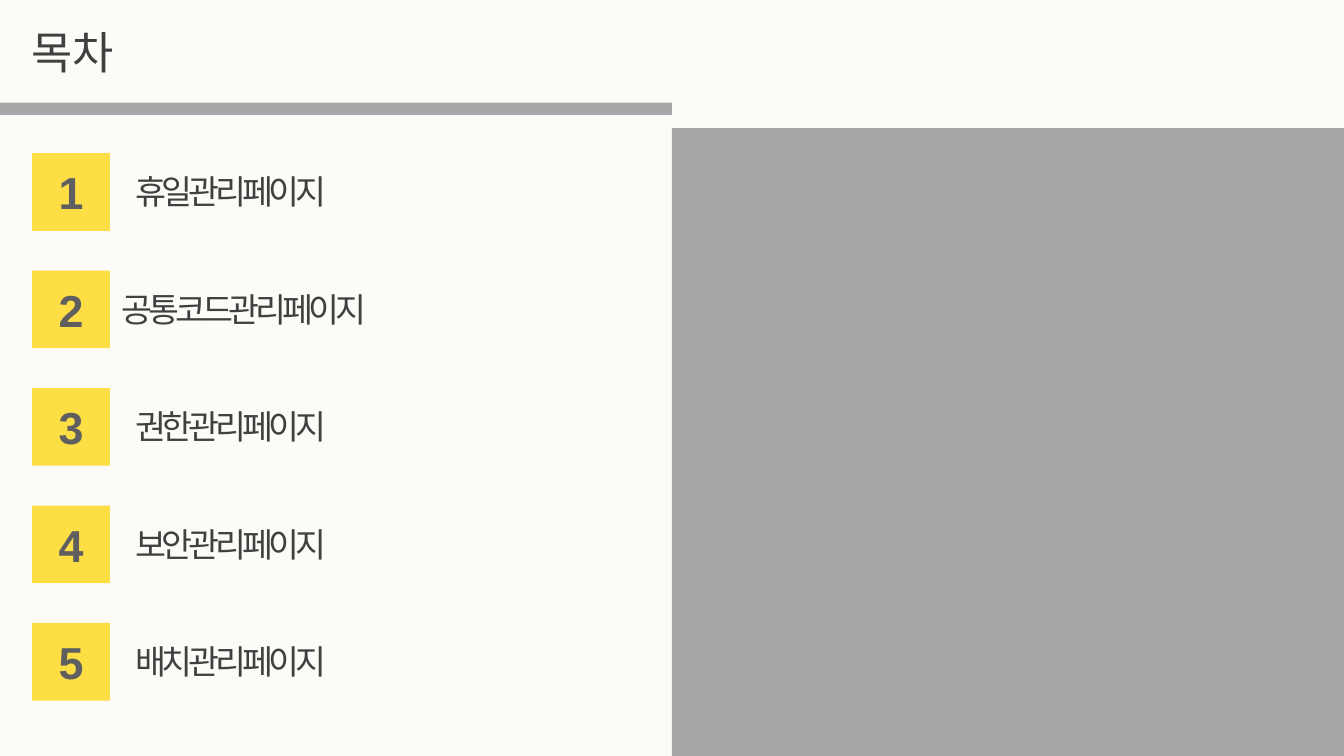
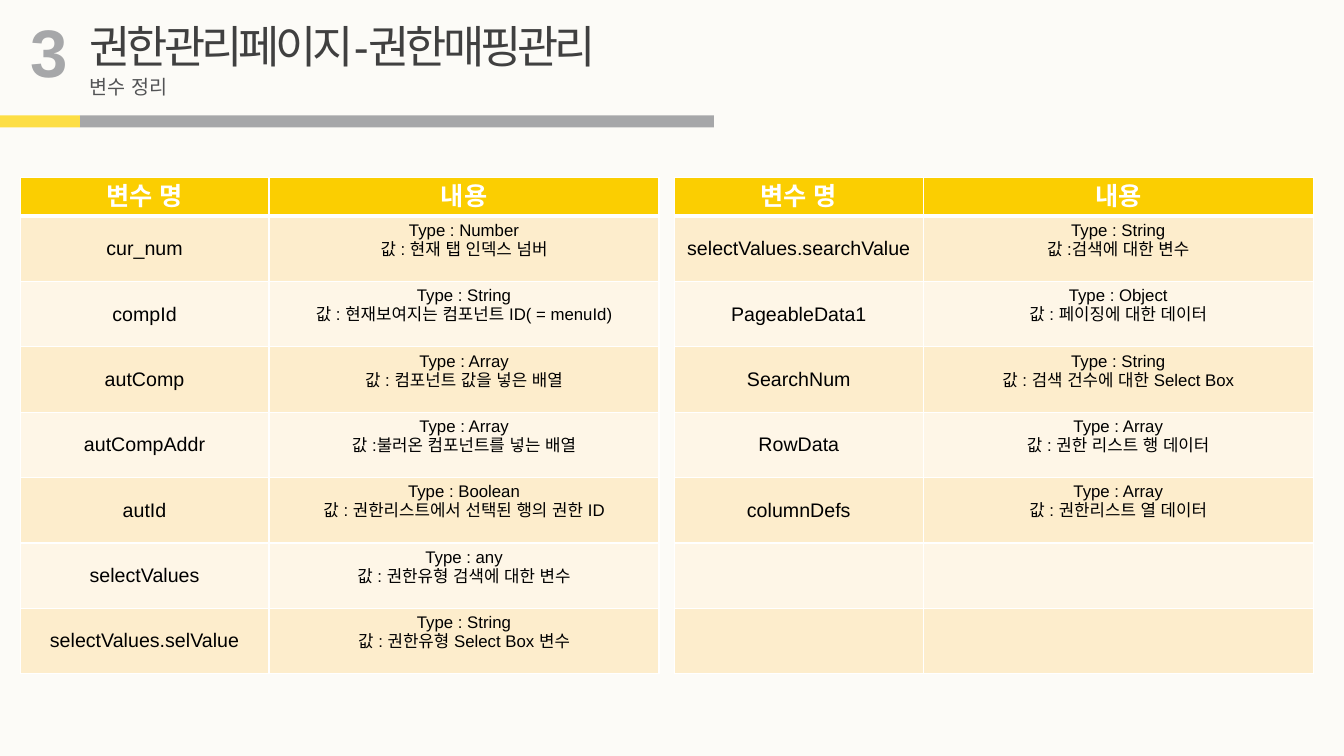
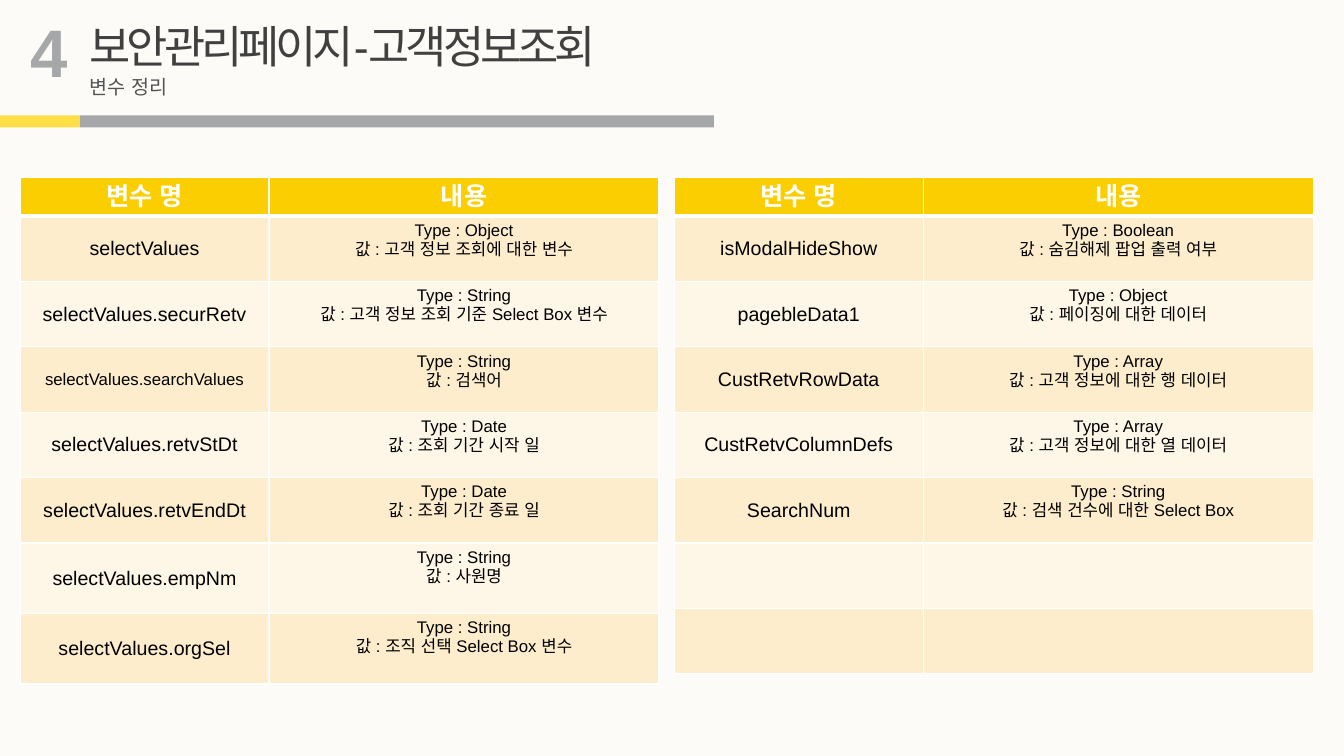
"""Builds a contents page and two pages of variable tables."""
from lxml import etree
from pptx import Presentation
from pptx.dml.color import RGBColor
from pptx.enum.shapes import MSO_SHAPE
from pptx.enum.text import MSO_ANCHOR, MSO_AUTO_SIZE, PP_ALIGN
from pptx.oxml.ns import qn
from pptx.util import Pt

RECTANGLE = MSO_SHAPE.RECTANGLE
LEFT, CENTER = PP_ALIGN.LEFT, PP_ALIGN.CENTER
TOP, MIDDLE = MSO_ANCHOR.TOP, MSO_ANCHOR.MIDDLE
NO_RESIZE = MSO_AUTO_SIZE.NONE

FONT = "Arial"
PAPER, GRAY, YELLOW, WHITE = "FCFBF7", "A6A7A9", "FDDE45", "FFFFFF"
HEADER_FILL, ROW_FILLS = "FBCE01", ("FDEDCC", "FEF6E7")
TITLE = {"size": 32, "color": "404040", "spacing": -300}
CONTENTS_TITLE = {"size": 32, "color": "404040"}
ITEM = {"size": 24, "color": "404040", "spacing": -300}
BADGE = {"size": 32, "color": "5F5F5F", "bold": True, "align": CENTER, "anchor": MIDDLE}
CHAPTER = {"size": 48, "color": GRAY, "bold": True}
SUBTITLE = {"size": 14, "color": "525355"}
HEADER = {"size": 18, "color": WHITE, "bold": True, "align": CENTER}
NAME = {"size": 14, "color": "000000", "align": CENTER, "anchor": MIDDLE}
SMALL_NAME = {**NAME, "size": 12}
DETAIL = {"size": 12, "color": "000000", "align": CENTER}

CONTENTS = ["휴일관리페이지", "공통코드관리페이지", "권한관리페이지", "보안관리페이지", "배치관리페이지"]
HEADINGS = ("변수 명", "내용")
TABLE_LEFTS = (14.4, 481.7)
TABLE_TOP = 126.7
COLUMN_WIDTHS = (177.8, 278.6)
HEADER_HEIGHT, ROW_HEIGHT, TALL_ROW_HEIGHT = 27.7, 46.7, 50.4
ROW_COUNT = 7
CHAPTERS = [
    ("3", "권한관리페이지-권한매핑관리", [
        [
            ("cur_num", "Number", "값 : 현재 탭 인덱스 넘버"),
            ("compId", "String", "값 : 현재보여지는 컴포넌트 ID( = menuId)"),
            ("autComp", "Array", "값 : 컴포넌트 값을 넣은 배열"),
            ("autCompAddr", "Array", "값 :불러온 컴포넌트를 넣는 배열"),
            ("autId", "Boolean", "값 : 권한리스트에서 선택된 행의 권한 ID"),
            ("selectValues", "any", "값 : 권한유형 검색에 대한 변수"),
            ("selectValues.selValue", "String", "값 : 권한유형 Select Box 변수"),
        ],
        [
            ("selectValues.searchValue", "String", "값 :검색에 대한 변수"),
            ("PageableData1", "Object", "값 : 페이징에 대한 데이터"),
            ("SearchNum", "String", "값 : 검색 건수에 대한 Select Box"),
            ("RowData", "Array", "값 : 권한 리스트 행 데이터"),
            ("columnDefs", "Array", "값 : 권한리스트 열 데이터"),
        ],
    ]),
    ("4", "보안관리페이지-고객정보조회", [
        [
            ("selectValues", "Object", "값 : 고객 정보 조회에 대한 변수"),
            ("selectValues.securRetv", "String", "값 : 고객 정보 조회 기준 Select Box 변수"),
            ("selectValues.searchValues", "String", "값 : 검색어"),
            ("selectValues.retvStDt", "Date", "값 : 조회 기간 시작 일"),
            ("selectValues.retvEndDt", "Date", "값 : 조회 기간 종료 일"),
            ("selectValues.empNm", "String", "값 : 사원명"),
            ("selectValues.orgSel", "String", "값 : 조직 선택 Select Box 변수"),
        ],
        [
            ("isModalHideShow", "Boolean", "값 : 숨김해제 팝업 출력 여부"),
            ("pagebleData1", "Object", "값 : 페이징에 대한 데이터"),
            ("CustRetvRowData", "Array", "값 : 고객 정보에 대한 행 데이터"),
            ("CustRetvColumnDefs", "Array", "값 : 고객 정보에 대한 열 데이터"),
            ("SearchNum", "String", "값 : 검색 건수에 대한 Select Box"),
        ],
    ]),
]
TALL_ROWS = {"selectValues.empNm", "selectValues.orgSel"}


def color(code):
    return RGBColor.from_string(code)


def write(frame, lines, style):
    for number, line in enumerate(lines):
        para = frame.add_paragraph() if number else frame.paragraphs[0]
        para.alignment = style.get("align", LEFT)
        span = para.add_run()
        span.text = line
        values = {"name": FONT, "size": Pt(style["size"]), "bold": style.get("bold", False)}
        for key, value in values.items():
            setattr(span.font, key, value)
        span.font.color.rgb = color(style["color"])
        properties = span.font._element
        etree.SubElement(properties, qn("a:ea"), typeface=FONT)
        if "spacing" in style:
            properties.set("spc", str(style["spacing"]))


deck = Presentation()
deck.slide_width, deck.slide_height = Pt(960), Pt(540)
background = deck.slide_master.background.fill
background.solid()
background.fore_color.rgb = color(PAPER)
title_only = deck.slide_layouts[5]

badges = []
items = []
for index, item in enumerate(CONTENTS):
    top = 109.4 + 83.9 * index
    badges.append((23, top, 55.5, 55.5, YELLOW, str(index + 1)))
    left = 80 if index == 1 else 89.5
    items.append((left, top + 9.4, 220, 36, item, ITEM))

pages = [{
    "title": (15, 13.7, 200, 46, "목차", CONTENTS_TITLE),
    "blocks": [(480, 91.5, 480, 448.5, GRAY, ""), (0, 73.4, 480, 8.7, GRAY, "")] + badges,
    "labels": items,
    "tables": [],
}]
for chapter, heading, tables in CHAPTERS:
    pages.append({
        "title": (57, 9.4, 430, 46, heading, TITLE),
        "blocks": [(57, 82.5, 453, 8.6, GRAY, ""), (0, 82.5, 57, 8.6, YELLOW, "")],
        "labels": [(14.4, 3.6, 44, 65.5, chapter, CHAPTER),
                   (57, 49.7, 80, 24.5, "변수 정리", SUBTITLE)],
        "tables": tables,
    })

for content in pages:
    page = deck.slides.add_slide(title_only)

    for left, top, width, height, fill, text in content["blocks"]:
        block = page.shapes.add_shape(RECTANGLE, Pt(left), Pt(top), Pt(width), Pt(height))
        block.shadow.inherit = False
        block.fill.solid()
        block.fill.fore_color.rgb = color(fill)
        block.line.fill.background()
        if text:
            block.text_frame.vertical_anchor = MIDDLE
            write(block.text_frame, [text], BADGE)

    boxes = [(page.shapes.title, content["title"])]
    for label in content["labels"]:
        boxes.append((page.shapes.add_textbox(0, 0, 0, 0), label))
    for box, (left, top, width, height, text, style) in boxes:
        place = {"left": left, "top": top, "width": width, "height": height}
        for key, value in place.items():
            setattr(box, key, Pt(value))
        frame_format = {"word_wrap": True, "auto_size": NO_RESIZE, "vertical_anchor": TOP}
        for key, value in frame_format.items():
            setattr(box.text_frame, key, value)
        write(box.text_frame, [text], style)

    for left, variables in zip(TABLE_LEFTS, content["tables"]):
        heights = [HEADER_HEIGHT]
        rows = [[([heading], HEADER) for heading in HEADINGS]]
        for name, kind, meaning in variables:
            name_style = SMALL_NAME if name == "selectValues.searchValues" else NAME
            rows.append([([name], name_style), ([f"Type : {kind}", meaning], DETAIL)])
            heights.append(TALL_ROW_HEIGHT if name in TALL_ROWS else ROW_HEIGHT)
        for _ in range(ROW_COUNT - len(variables)):
            rows.append([([], NAME), ([], DETAIL)])
            heights.append(ROW_HEIGHT)

        table = page.shapes.add_table(
            len(rows), len(COLUMN_WIDTHS), Pt(left), Pt(TABLE_TOP),
            Pt(sum(COLUMN_WIDTHS)), Pt(sum(heights))).table
        table.first_row = table.horz_banding = False
        for column, width in zip(table.columns, COLUMN_WIDTHS):
            column.width = Pt(width)
        for row_number, (row, height) in enumerate(zip(rows, heights)):
            table.rows[row_number].height = Pt(height)
            fill = ROW_FILLS[(row_number - 1) % 2] if row_number else HEADER_FILL
            for column_number, (lines, style) in enumerate(row):
                cell = table.cell(row_number, column_number)
                cell.fill.solid()
                cell.fill.fore_color.rgb = color(fill)
                cell.vertical_anchor = style.get("anchor", TOP)
                write(cell.text_frame, lines, style)
                widths = {"lnL": 1, "lnR": 1,
                          "lnT": 3 if row_number == 1 else 1,
                          "lnB": 3 if row_number == 0 else 1}
                for position, (side, weight) in enumerate(widths.items()):
                    border = etree.Element(qn(f"a:{side}"), w=str(Pt(weight)))
                    paint = etree.SubElement(border, qn("a:solidFill"))
                    etree.SubElement(paint, qn("a:srgbClr"), val=WHITE)
                    cell._tc.get_or_add_tcPr().insert(position, border)

deck.save("out.pptx")
